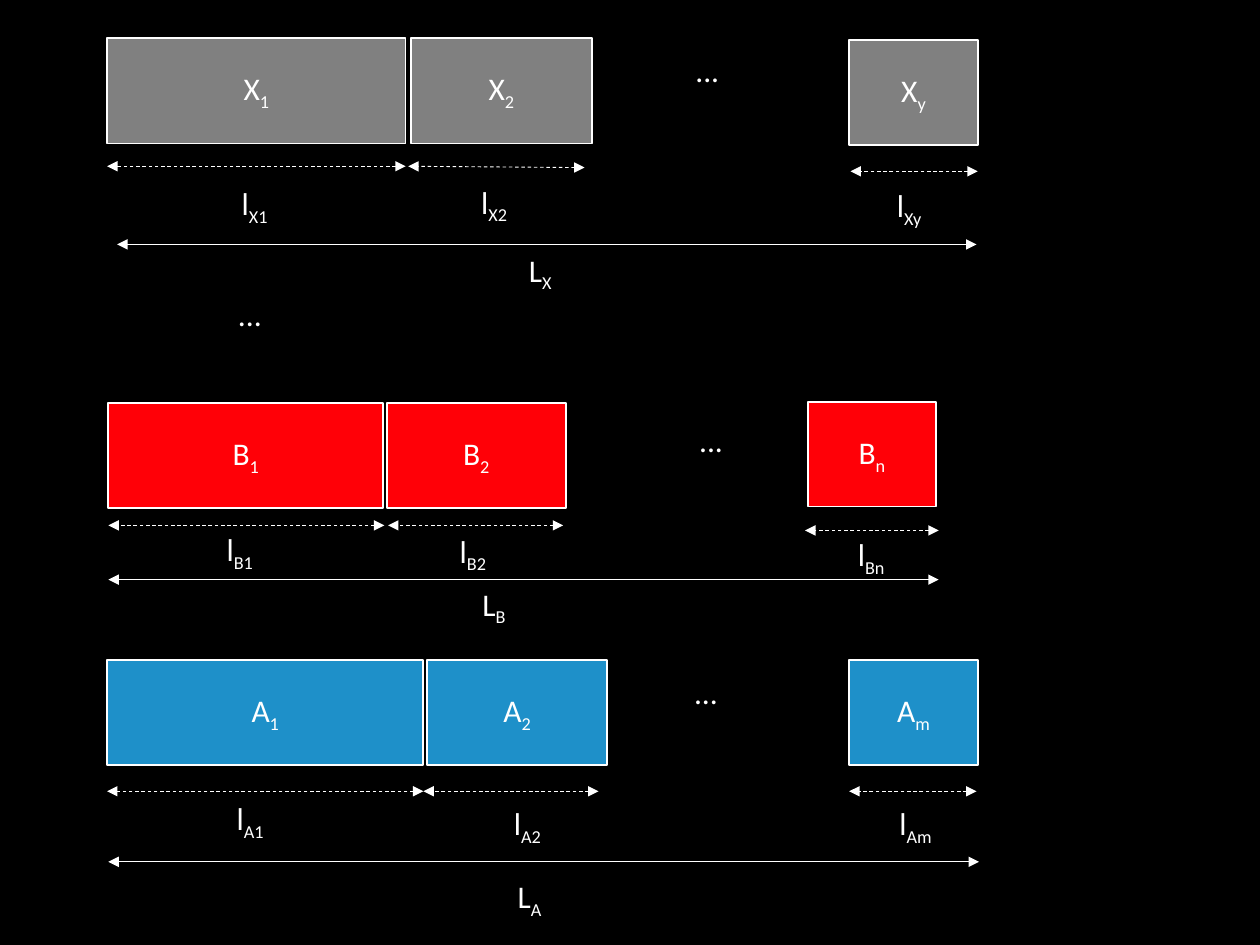
from collections import namedtuple
from lxml.etree import SubElement
from pptx import Presentation
from pptx.dml.color import RGBColor as RGB
from pptx.enum.dml import MSO_LINE as Dash
from pptx.enum.shapes import MSO_CONNECTOR as Conn, MSO_SHAPE as Kind
from pptx.enum.text import MSO_ANCHOR as Anchor, MSO_AUTO_SIZE as Fit, PP_ALIGN as Align
from pptx.oxml.ns import qn
from pptx.util import Inches, Pt

# Theme
Theme = namedtuple("Theme", "back ink gray red blue font size edge thin")
THEME = Theme(RGB(0, 0, 0), RGB(255, 255, 255), RGB(0x80, 0x80, 0x80),
              RGB(0xFF, 0, 0x07), RGB(0x1E, 0x90, 0xC9), "Calibri", 18, 1, 0.5)

# Offsets are inches from the row's corner; a span is (left, right, y)
Cell = namedtuple("Cell", "sub box span tag wide drop", defaults=(0.44, 0))
Row = namedtuple("Row", "name fill left top cells dots total tag")

ROWS = [
    Row("X", THEME.gray, 0.85, 0.3, [
        Cell("1", (0, 0, 2.37, 0.84), (0, 2.37, 1.02), (0.97, 1.11)),
        Cell("2", (2.41, 0, 1.44, 0.84), (2.39, 3.79, 1.02), (2.87, 1.1), drop=0.01),
        Cell("y", (5.89, 0.02, 1.02, 0.83), (5.9, 6.91, 1.06), (6.17, 1.13)),
    ], (4.57, 0.06), (0.08, 6.9, 1.64), (3.25, 1.64)),
    Row("B", THEME.red, 0.86, 3.2, [
        Cell("1", (0, 0, 2.18, 0.83), (0, 2.19, 0.97), (0.84, 0.96)),
        Cell("2", (2.21, 0, 1.42, 0.83), (2.22, 3.61, 0.97), (2.69, 0.97)),
        Cell("n", (5.55, -0.01, 1.02, 0.83), (5.53, 6.59, 1.01), (5.85, 1)),
    ], (4.59, 0.09), (0, 6.59, 1.4), (2.87, 1.39)),
    Row("A", THEME.blue, 0.85, 5.24, [
        Cell("1", (0, 0, 2.51, 0.83), (0, 2.51, 1.04), (0.93, 1.05)),
        Cell("2", (2.54, 0, 1.43, 0.83), (2.51, 3.9, 1.04), (3.13, 1.09)),
        Cell("m", (5.89, 0, 1.02, 0.83), (5.89, 6.9, 1.04), (6.19, 1.09), 0.64),
    ], (4.56, 0.05), (0.01, 6.92, 1.6), (3.16, 1.67)),
]


def write(para, main, sub=""):
    """Add the main run, then its subscript."""
    for text, base in ((main, None), (sub, "-25000")):
        if text:
            run = para.add_run()
            run.text = text
            run.font.name = THEME.font
            run.font.size = Pt(THEME.size)
            run.font.color.rgb = THEME.ink
            if base:
                run.font._element.set("baseline", base)


def label(slide, left, top, wide, main, sub=""):
    box = slide.shapes.add_textbox(Inches(left), Inches(top), Inches(wide), Inches(0.4))
    frame = box.text_frame
    frame.word_wrap = True
    frame.auto_size = Fit.SHAPE_TO_FIT_TEXT
    write(frame.paragraphs[0], main, sub)


def block(slide, left, top, wide, high, fill, main, sub):
    rect = slide.shapes.add_shape(Kind.RECTANGLE, Inches(left), Inches(top),
                                  Inches(wide), Inches(high))
    rect.shadow.inherit = False
    rect.fill.solid()
    rect.fill.fore_color.rgb = fill
    rect.line.color.rgb = THEME.ink
    rect.line.width = Pt(THEME.edge)
    rect.text_frame.vertical_anchor = Anchor.MIDDLE
    para = rect.text_frame.paragraphs[0]
    para.alignment = Align.CENTER
    write(para, main, sub)


def arrow(slide, left, right, top, drop=0, dash=False):
    """Draw a two-headed arrow from right to left."""
    line = slide.shapes.add_connector(Conn.STRAIGHT, Inches(right), Inches(top + drop),
                                      Inches(left), Inches(top))
    line.line.color.rgb = THEME.ink
    line.line.width = Pt(THEME.thin)
    if dash:
        line.line.dash_style = Dash.DASH
    props = line._element.spPr
    for end in ("a:headEnd", "a:tailEnd"):
        SubElement(props.find(qn("a:ln")), qn(end)).set("type", "triangle")
    SubElement(props, qn("a:effectLst"))


def draw_row(slide, row):
    x, y = row.left, row.top
    # Blocks with their own lengths
    for cell in row.cells:
        left, top, wide, high = cell.box
        block(slide, x + left, y + top, wide, high, row.fill, row.name, cell.sub)
        start, stop, level = cell.span
        arrow(slide, x + start, x + stop, y + level, cell.drop, dash=True)
        label(slide, x + cell.tag[0], y + cell.tag[1], cell.wide, "l", row.name + cell.sub)
    label(slide, x + row.dots[0], y + row.dots[1], 0.52, "...")
    # Total length
    start, stop, level = row.total
    arrow(slide, x + start, x + stop, y + level)
    label(slide, x + row.tag[0], y + row.tag[1], 0.64, "L", row.name)


deck = Presentation()
deck.slide_width, deck.slide_height = Inches(10), Inches(7.5)
slide = deck.slides.add_slide(deck.slide_layouts[6])
slide.background.fill.solid()
slide.background.fill.fore_color.rgb = THEME.back

for row in ROWS:
    draw_row(slide, row)
# Rows left out between X and B
label(slide, 1.79, 2.29, 0.42, "...")

deck.save("out.pptx")
